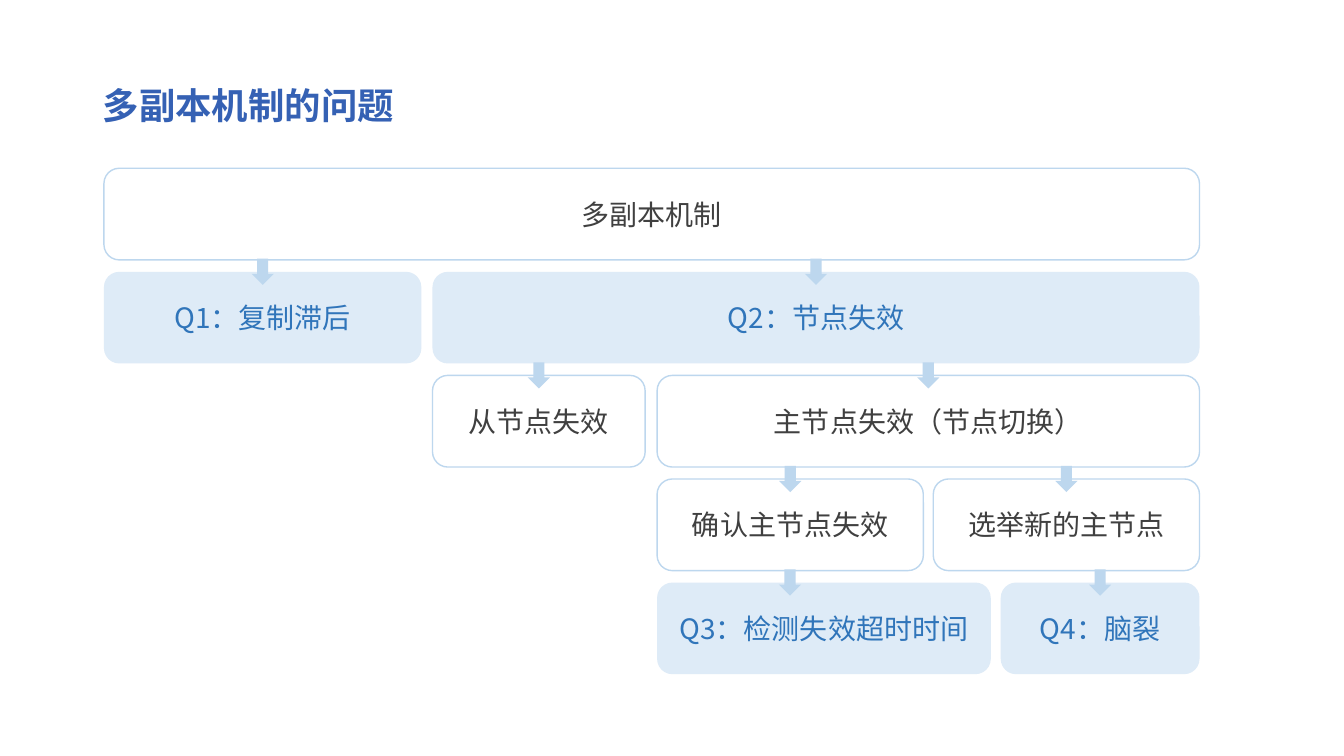
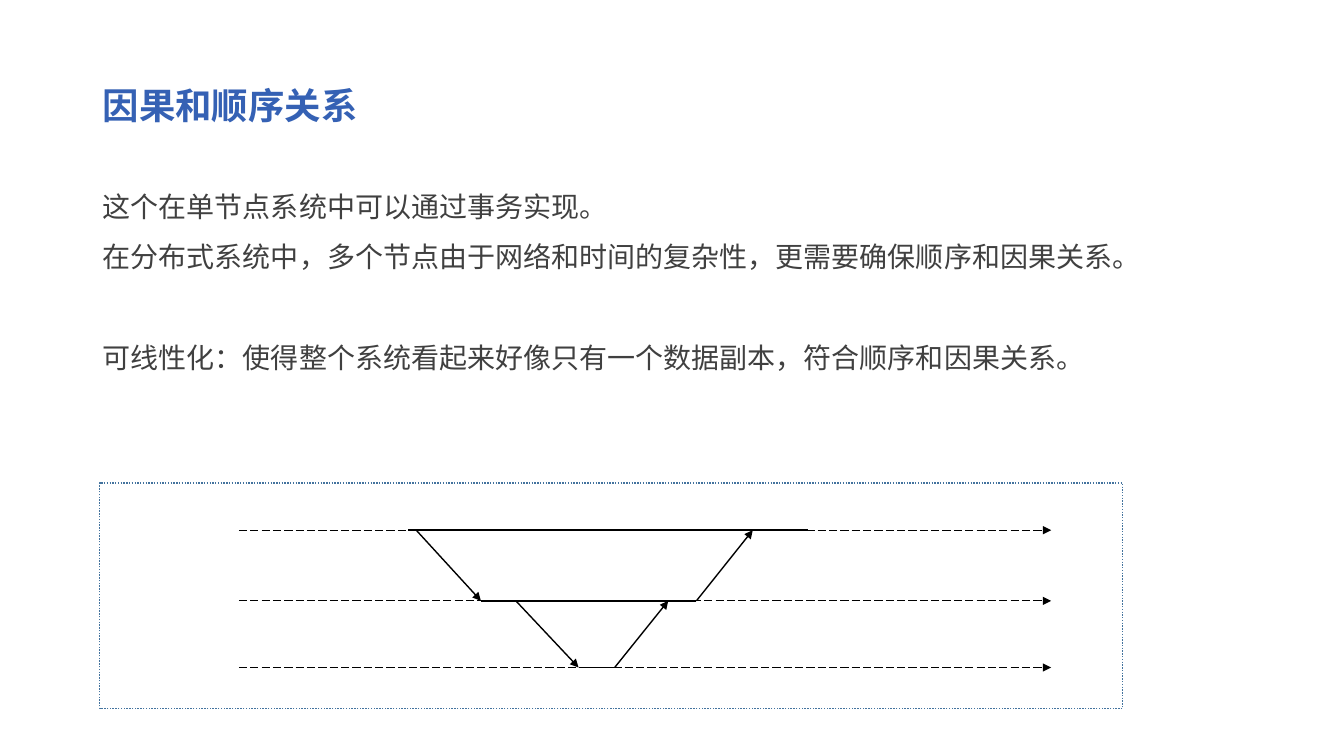
from lxml import etree
from pptx import Presentation
from pptx.dml.color import RGBColor
from pptx.enum.dml import MSO_LINE
from pptx.enum.lang import MSO_LANGUAGE_ID
from pptx.enum.shapes import MSO_CONNECTOR, MSO_SHAPE
from pptx.enum.text import MSO_ANCHOR, PP_ALIGN
from pptx.oxml.ns import qn
from pptx.util import Cm, Pt

ROUND, ARROW, RECT = MSO_SHAPE.ROUNDED_RECTANGLE, MSO_SHAPE.DOWN_ARROW, MSO_SHAPE.RECTANGLE
DOTS, DASH = MSO_LINE.ROUND_DOT, MSO_LINE.LONG_DASH
STRAIGHT = MSO_CONNECTOR.STRAIGHT
CENTER, MIDDLE = PP_ALIGN.CENTER, MSO_ANCHOR.MIDDLE
CHINESE = MSO_LANGUAGE_ID.SIMPLIFIED_CHINESE

FACE = "Noto Sans CJK SC"
COLORS = {"title": "3561B4", "text": "404040", "query": "3075BA", "pale": "DEEBF7",
          "edge": "BDD7EE", "frame": "43739E", "line": "000000"}
TITLE = {"size": Pt(26), "bold": True}
BODY = {"size": Pt(20), "bold": False}

# Problem tree: row, left, right, text, arrow centre (None: middle of the box)
RIGHT = 30.23
TREE = [
    (0, 2.62, RIGHT, "多副本机制", None),
    (1, 2.62, 10.62, "Q1：复制滞后", None),
    (1, 10.9, RIGHT, "Q2：节点失效", None),
    (2, 10.9, 16.26, "从节点失效", None),
    (2, 16.56, RIGHT, "主节点失效（节点切换）", None),
    (3, 16.56, 23.27, "确认主节点失效", None),
    (3, 23.52, RIGHT, "选举新的主节点", None),
    (4, 16.56, 24.97, "Q3：检测失效超时时间", 19.91),
    (4, 25.22, RIGHT, "Q4：脑裂", None),
]
TOP, PITCH, HIGH = 4.24, 2.61, 2.31
TIP_W, TIP_H, TIP_UP = 0.56, 0.66, 0.33

# Order slide: text blocks as left, top, width, height, line spacing, lines
NOTES = [
    (2.34, 4.22, 31.01, 2.82, 1.5,
     ["这个在单节点系统中可以通过事务实现。",
      "在分布式系统中，多个节点由于网络和时间的复杂性，更需要确保顺序和因果关系。"]),
    (2.34, 8.46, 28.68, 1.12, 1,
     ["可线性化：使得整个系统看起来好像只有一个数据副本，符合顺序和因果关系。"]),
]
FRAME = (2.51, 12.17, 25.78, 5.69)
LANES = [13.36, 15.14, 16.82]
START, END = 6.02, 26.49
# Spans of work: lane, from, to
SPANS = [(0, 10.29, 20.35), (1, 12.12, 17.55), (2, 14.58, 15.49)]
# Messages: from lane, x, to lane, x
CALLS = [(0, 10.49, 1, 12.12), (1, 13, 2, 14.58),
         (2, 15.49, 1, 16.84), (1, 17.55, 0, 18.97)]


def rgb(name):
    return RGBColor.from_string(COLORS[name])


def write(frame, lines, style, color, space=1, align=None):
    frame.word_wrap = True
    for i, line in enumerate(lines):
        para = frame.paragraphs[0] if i == 0 else frame.add_paragraph()
        para.line_spacing, para.alignment = space, align
        run = para.add_run()
        run.text = line
        for key, val in {**style, "name": FACE, "language_id": CHINESE}.items():
            setattr(run.font, key, val)
        run.font.color.rgb = rgb(color)
        east = etree.SubElement(run.font._element, qn("a:ea"))
        east.set("typeface", FACE)


def add_text(slide, place, *args):
    box = slide.shapes.add_textbox(*map(Cm, place))
    write(box.text_frame, *args)


def add_box(slide, kind, place, fill=None, edge=None):
    box = slide.shapes.add_shape(kind, *map(Cm, place))
    box.shadow.inherit = False
    for part, color in ((box.fill, fill), (box.line.fill, edge)):
        if color:
            part.solid()
            part.fore_color.rgb = rgb(color)
        else:
            part.background()
    if edge:
        box.line.width = Pt(1)
    return box


def add_line(slide, ends, width=1, dash=None, head=False):
    link = slide.shapes.add_connector(STRAIGHT, *map(Cm, ends))
    link.line.color.rgb = rgb("line")
    link.line.width = Pt(width)
    if dash:
        link.line.dash_style = dash
    if head:
        tail = etree.SubElement(link.line._get_or_add_ln(), qn("a:tailEnd"))
        tail.set("type", "triangle")
    etree.SubElement(link._element.spPr, qn("a:effectLst"))


def add_page(deck, title):
    slide = deck.slides.add_slide(deck.slide_layouts[6])
    add_text(slide, (2.34, 1.96, 27.48, 1.37), [title], TITLE, "title")
    return slide


def draw_tree(deck):
    slide = add_page(deck, "多副本机制的问题")
    for row, left, right, text, mid in TREE:
        query = text.startswith("Q")
        look = {"fill": "pale"} if query else {"edge": "edge"}
        place = (left, TOP + row * PITCH, right - left, HIGH)
        frame = add_box(slide, ROUND, place, **look).text_frame
        frame.vertical_anchor = MIDDLE
        write(frame, [text], BODY, "query" if query else "text", 1, CENTER)
    # Arrows lie over the boxes
    for row, left, right, text, mid in TREE[1:]:
        mid = mid or (left + right) / 2
        top = TOP + row * PITCH - TIP_UP
        add_box(slide, ARROW, (mid - TIP_W / 2, top, TIP_W, TIP_H), "edge")


def draw_order(deck):
    slide = add_page(deck, "因果和顺序关系")
    for *place, space, lines in NOTES:
        add_text(slide, place, lines, BODY, "text", space)
    # Timelines, work and messages
    add_box(slide, RECT, FRAME, edge="frame").line.dash_style = DOTS
    for y in LANES:
        add_line(slide, (START, y, END, y), 0.75, DASH, True)
    for lane, left, right in SPANS:
        add_line(slide, (left, LANES[lane], right, LANES[lane]))
    for lane, x, goal, end in CALLS:
        add_line(slide, (x, LANES[lane], end, LANES[goal]), head=True)


def main():
    deck = Presentation()
    deck.slide_width, deck.slide_height = Cm(33.87), Cm(19.05)
    draw_tree(deck)
    draw_order(deck)
    deck.save("out.pptx")


if __name__ == "__main__":
    main()
